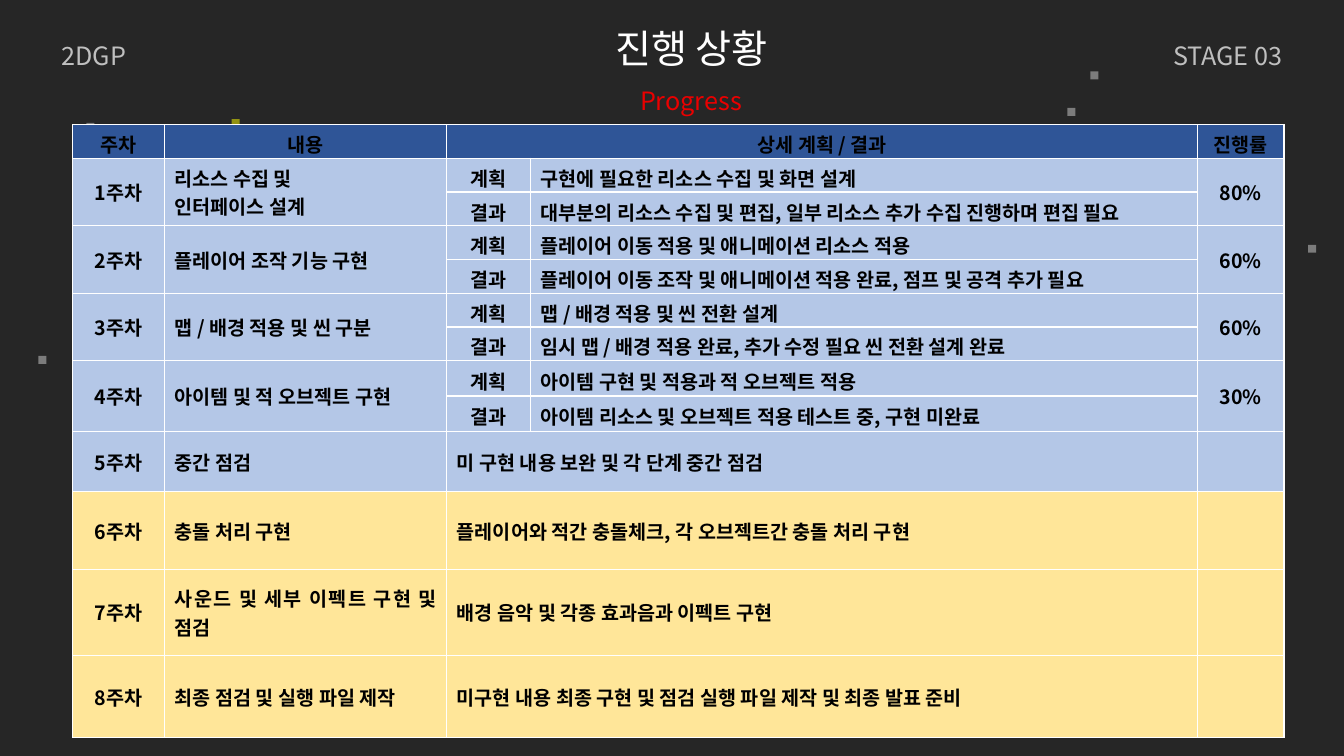
from lxml import etree
from pptx import Presentation
from pptx.dml.color import RGBColor
from pptx.enum.shapes import MSO_SHAPE
from pptx.enum.text import MSO_ANCHOR, PP_ALIGN
from pptx.oxml.ns import qn
from pptx.util import Cm, Pt

LEFT, CENTER, RIGHT = PP_ALIGN.LEFT, PP_ALIGN.CENTER, PP_ALIGN.RIGHT
JUSTIFY = PP_ALIGN.JUSTIFY
MIDDLE = MSO_ANCHOR.MIDDLE
RECTANGLE = MSO_SHAPE.RECTANGLE

FONT = "Noto Sans CJK KR"
COLORS = {
    "background": "262626", "white": "FFFFFF", "black": "000000",
    "grey": "BFBFBF", "red": "EA0000", "yellow": "FFFF00",
    "header": "2F5597", "done": "B4C7E7", "upcoming": "FFE699",
}

# Content: text, (left, top, width, height) in cm, size, colour, alignment, wrap
TITLES = [
    ("진행 상황", (8.84, 0.48, 17.17, 1.45), 28, "white", CENTER, True),
    ("Progress", (11.89, 2.03, 11.05, 1.02), 18, "red", CENTER, True),
    ("2DGP", (1.3, 0.89, 2.13, 1.02), 18, "grey", LEFT, False),
    ("STAGE 03", (29.29, 0.89, 3.28, 1.02), 18, "grey", RIGHT, False),
]
# Left, top in cm, colour, opacity in percent
SQUARES = [
    (5.84, 3.0, "yellow", 50), (27.48, 1.8, "white", 40),
    (26.9, 2.72, "white", 40), (2.18, 3.1, "white", 40),
    (0.97, 8.97, "white", 40), (32.97, 6.17, "white", 40),
]
SQUARE_SIZE = 0.2
HEADINGS = ["주차", "내용", "상세 계획 / 결과", "진행률"]
# Topic, plan, result, progress
REPORTED_WEEKS = [
    ("리소스 수집 및\n인터페이스 설계", "구현에 필요한 리소스 수집 및 화면 설계",
     "대부분의 리소스 수집 및 편집, 일부 리소스 추가 수집 진행하며 편집 필요", "80%"),
    ("플레이어 조작 기능 구현", "플레이어 이동 적용 및 애니메이션 리소스 적용",
     "플레이어 이동 조작 및 애니메이션 적용 완료, 점프 및 공격 추가 필요", "60%"),
    ("맵 / 배경 적용 및 씬 구분", "맵 / 배경 적용 및 씬 전환 설계",
     "임시 맵 / 배경 적용 완료, 추가 수정 필요 씬 전환 설계 완료", "60%"),
    ("아이템 및 적 오브젝트 구현", "아이템 구현 및 적용과 적 오브젝트 적용",
     "아이템 리소스 및 오브젝트 적용 테스트 중, 구현 미완료", "30%"),
]
# Topic, details, fill
OPEN_WEEKS = [
    ("중간 점검", "미 구현 내용 보완 및 각 단계 중간 점검", "done"),
    ("충돌 처리 구현", "플레이어와 적간 충돌체크, 각 오브젝트간 충돌 처리 구현", "upcoming"),
    ("사운드 및 세부 이펙트 구현 및 점검", "배경 음악 및 각종 효과음과 이펙트 구현", "upcoming"),
    ("최종 점검 및 실행 파일 제작",
     "미구현 내용 최종 구현 및 점검 실행 파일 제작 및 최종 발표 준비", "upcoming"),
]
TABLE_LEFT, TABLE_TOP = 1.83, 3.14
COLUMN_WIDTHS = [2.32, 7.11, 2.11, 16.81, 2.18]
ROW_HEIGHTS = [0.85] * 7 + [0.89] * 2 + [1.52, 1.96, 2.16, 2.08]


def rgb(name):
    return RGBColor.from_string(COLORS[name])


def write(frame, text, size, color, align, bold=False):
    frame.text = text
    for para in frame.paragraphs:
        para.alignment = align
        for span in para.runs:
            span.font.size = Pt(size)
            span.font.bold = bold
            span.font.color.rgb = rgb(color)
            span.font.name = FONT
            properties = span.font._element
            etree.SubElement(properties, qn("a:ea"), typeface=FONT)


def style_cell(cell, fill, short):
    cell.vertical_anchor = MIDDLE
    if short:
        cell.margin_bottom = 0
    properties = cell._tc.get_or_add_tcPr()
    for side in ("a:lnL", "a:lnR", "a:lnT", "a:lnB"):
        line = etree.SubElement(properties, qn(side), w=str(Pt(1)))
        solid = etree.SubElement(line, qn("a:solidFill"))
        etree.SubElement(solid, qn("a:srgbClr"), val=COLORS["white"])
    cell.fill.solid()
    cell.fill.fore_color.rgb = rgb(fill)


deck = Presentation()
deck.slide_width, deck.slide_height = Cm(33.87), Cm(19.05)
page = deck.slides.add_slide(deck.slide_layouts[6])
page.background.fill.solid()
page.background.fill.fore_color.rgb = rgb("background")

# Scattered squares
for left, top, color, opacity in SQUARES:
    square = page.shapes.add_shape(
        RECTANGLE, Cm(left), Cm(top), Cm(SQUARE_SIZE), Cm(SQUARE_SIZE))
    square.shadow.inherit = False
    square.line.fill.background()
    square.fill.solid()
    square.fill.fore_color.rgb = rgb(color)
    shade = square._element.spPr.find(qn("a:solidFill"))[0]
    etree.SubElement(shade, qn("a:alpha"), val=str(opacity * 1000))

# Titles
for text, place, size, color, align, wrap in TITLES:
    box = page.shapes.add_textbox(*map(Cm, place))
    box.text_frame.word_wrap = wrap
    write(box.text_frame, text, size, color, align)

# Table frame
table = page.shapes.add_table(
    len(ROW_HEIGHTS), len(COLUMN_WIDTHS), Cm(TABLE_LEFT), Cm(TABLE_TOP),
    Cm(sum(COLUMN_WIDTHS)), Cm(sum(ROW_HEIGHTS))).table
for column, width in zip(table.columns, COLUMN_WIDTHS):
    column.width = Cm(width)
for row, height in zip(table.rows, ROW_HEIGHTS):
    row.height = Cm(height)

first_open = 1 + 2 * len(REPORTED_WEEKS)
fills = ["header"] + ["done"] * (first_open - 1) + [week[2] for week in OPEN_WEEKS]
for index, fill in enumerate(fills):
    for column in range(len(COLUMN_WIDTHS)):
        merged_pair = 0 < index < first_open and column in (0, 1, 4)
        style_cell(table.cell(index, column), fill,
                   index < first_open and not merged_pair)


def put(row, column, text, align=CENTER):
    write(table.cell(row, column).text_frame, text, 14, "black", align, bold=True)


# Header row
for column, heading in zip((0, 1, 2, 4), HEADINGS):
    put(0, column, heading)
table.cell(0, 2).merge(table.cell(0, 3))

# Weeks with a plan and a result
for number, (topic, plan, result, progress) in enumerate(REPORTED_WEEKS, 1):
    row = 2 * number - 1
    for column in (0, 1, 4):
        table.cell(row, column).merge(table.cell(row + 1, column))
    put(row, 0, f"{number}주차")
    put(row, 1, topic, JUSTIFY)
    put(row, 2, "계획")
    put(row, 3, plan, JUSTIFY)
    put(row + 1, 2, "결과")
    put(row + 1, 3, result, LEFT)
    put(row, 4, progress)

# Weeks still open
for offset, (topic, details, fill) in enumerate(OPEN_WEEKS):
    row = first_open + offset
    table.cell(row, 2).merge(table.cell(row, 3))
    put(row, 0, f"{len(REPORTED_WEEKS) + offset + 1}주차")
    put(row, 1, topic, JUSTIFY)
    put(row, 2, details, JUSTIFY)

deck.save("out.pptx")
